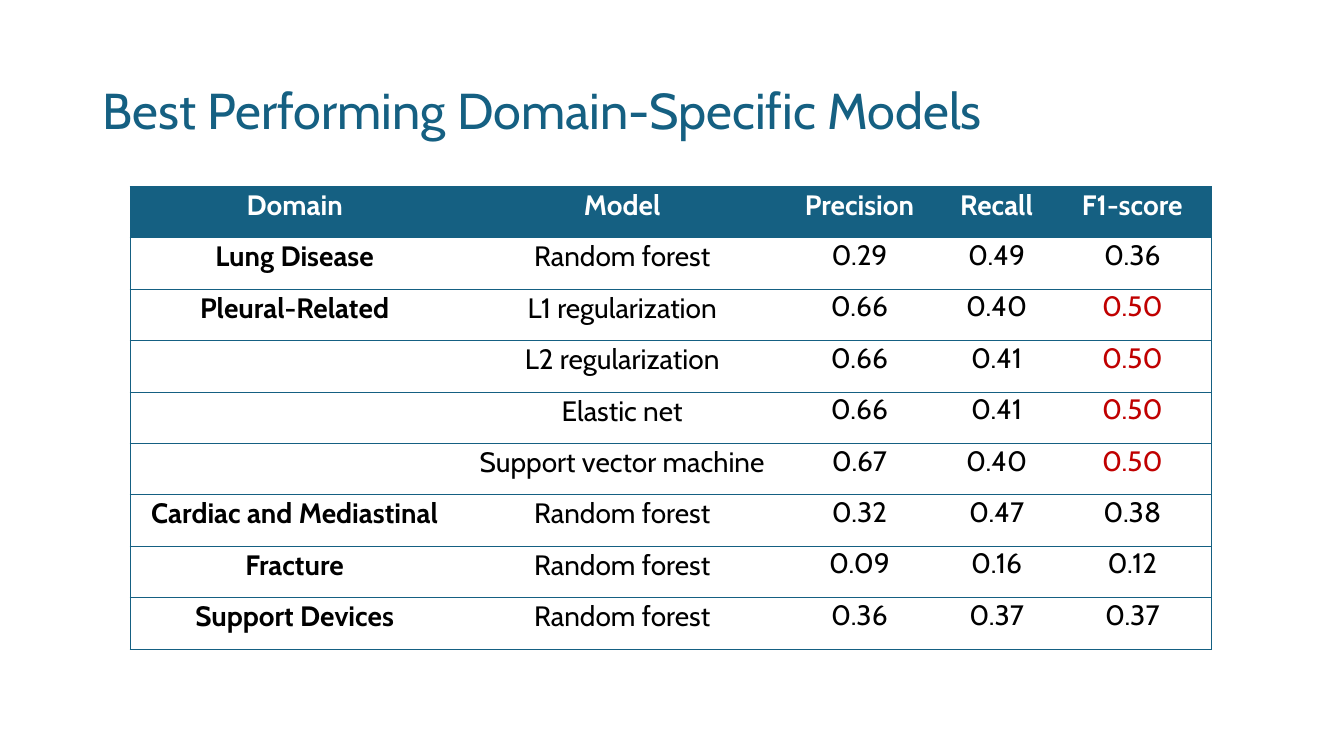
import pptx
import pptx.dml.color
import pptx.enum.text
import pptx.oxml
import pptx.oxml.ns
import pptx.util

Cm = pptx.util.Cm
Pt = pptx.util.Pt
RGBColor = pptx.dml.color.RGBColor
Align = pptx.enum.text.PP_ALIGN
Anchor = pptx.enum.text.MSO_ANCHOR

TEAL = RGBColor(0x15, 0x60, 0x82)
WHITE = RGBColor(0xFF, 0xFF, 0xFF)
BLACK = RGBColor(0x00, 0x00, 0x00)
RED = RGBColor(0xC0, 0x00, 0x00)
FONT = "Cabin"

TITLE = "Best Performing Domain-Specific Models"
HEADINGS = ("Domain", "Model", "Precision", "Recall", "F1-score")
RESULTS = (
    ("Lung Disease", "Random forest", "0.29", "0.49", "0.36"),
    ("Pleural-Related", "L1 regularization", "0.66", "0.40", "0.50"),
    ("", "L2 regularization", "0.66", "0.41", "0.50"),
    ("", "Elastic net", "0.66", "0.41", "0.50"),
    ("", "Support vector machine", "0.67", "0.40", "0.50"),
    ("Cardiac and Mediastinal", "Random forest", "0.32", "0.47", "0.38"),
    ("Fracture", "Random forest", "0.09", "0.16", "0.12"),
    ("Support Devices", "Random forest", "0.36", "0.37", "0.37"),
)
COLUMN_WIDTHS = (8.46, 8.05, 3.91, 3.0, 3.84)
TABLE_HEIGHT = Cm(11.66)
BEST_SCORE = "0.50"


def write_text(frame, text, *, size, color, bold=False, align=Align.CENTER, spacing=None):
    paragraph = frame.paragraphs[0]
    paragraph.alignment = align
    paragraph.line_spacing = spacing
    run = paragraph.add_run()
    run.text = text
    run.font.name = FONT
    run.font.size = Pt(size)
    run.font.bold = bold
    run.font.color.rgb = color


def add_title(slide):
    title = slide.shapes.title
    title.left, title.top = Cm(2.33), Cm(1.02)
    title.width, title.height = Cm(29.21), Cm(3.68)
    title.text_frame.vertical_anchor = Anchor.MIDDLE
    title.text_frame.word_wrap = True
    write_text(title.text_frame, TITLE, size=36, color=TEAL, align=Align.LEFT, spacing=0.9)


def set_borders(cell, visible_sides):
    properties = cell._tc.get_or_add_tcPr()
    for side in "LRTB":
        if side in visible_sides:
            paint = f'<a:solidFill><a:srgbClr val="{TEAL}"/></a:solidFill>'
        else:
            paint = "<a:noFill/>"
        properties.append(pptx.oxml.parse_xml(
            f'<a:ln{side} {pptx.oxml.ns.nsdecls("a")} w="{Pt(0.75)}">{paint}</a:ln{side}>'
        ))


def format_cell(cell, row, column):
    sides = "TB"
    if column == 0:
        sides += "L"
    if column == len(HEADINGS) - 1:
        sides += "R"
    set_borders(cell, sides)
    if row == 0:
        cell.fill.solid()
        cell.fill.fore_color.rgb = TEAL
    else:
        cell.fill.background()
    cell.vertical_anchor = Anchor.MIDDLE
    cell.margin_left, cell.margin_right = Cm(0.18), Cm(0.35)
    cell.margin_top = cell.margin_bottom = Cm(0.13)


def fill_cell(cell, text, row, column):
    format_cell(cell, row, column)
    if not text:
        return
    is_header = row == 0
    is_score = not is_header and column >= 2
    color = WHITE if is_header else RED if text == BEST_SCORE else BLACK
    write_text(cell.text_frame, text, size=20, color=color,
               bold=is_header or column == 0,
               spacing=Pt(12.8) if is_score else Pt(14.7))


def add_results_table(slide):
    rows = (HEADINGS, *RESULTS)
    results = slide.shapes.add_table(
        len(rows), len(HEADINGS), Cm(3.28), Cm(4.7), Cm(sum(COLUMN_WIDTHS)), TABLE_HEIGHT
    ).table
    results.first_row = False
    results.horz_banding = False
    for column, width in zip(results.columns, COLUMN_WIDTHS):
        column.width = Cm(width)
    for row, texts in enumerate(rows):
        for column, text in enumerate(texts):
            fill_cell(results.cell(row, column), text, row, column)


def main():
    deck = pptx.Presentation()
    deck.slide_width, deck.slide_height = Cm(33.87), Cm(19.05)
    slide = deck.slides.add_slide(deck.slide_layouts[5])
    add_title(slide)
    add_results_table(slide)
    deck.save("out.pptx")


if __name__ == "__main__":
    main()
